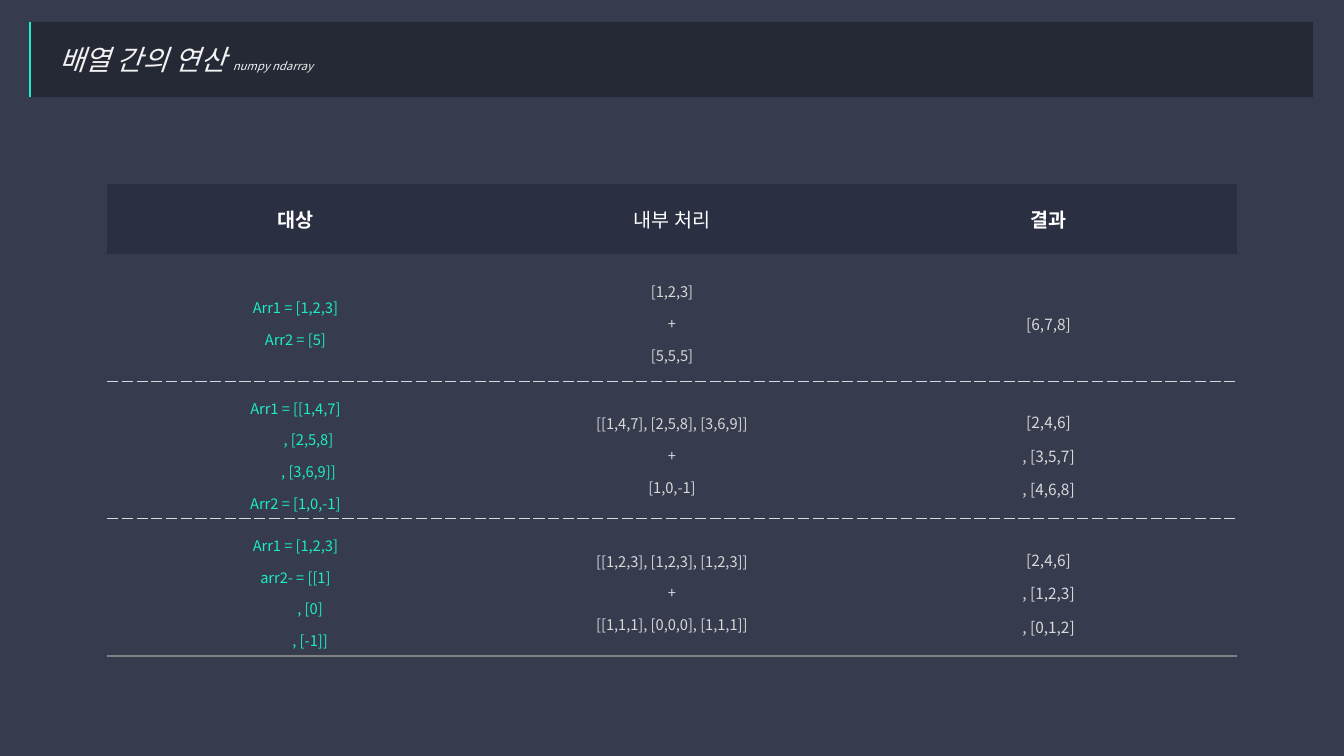
from lxml import etree
from pptx import Presentation
from pptx import util as u
from pptx.dml.color import RGBColor
from pptx.enum import shapes, text
from pptx.oxml.ns import qn

FONT = "Noto Sans CJK KR"
TEAL, GREY, WHITE = "1BEDC6", "D9D9D9", "FFFFFF"
NO_GRID = "{2D5ABB26-0587-4C30-8999-92F81FD0307C}"
DASHED, SOLID = (GREY, 0.5, "sysDash"), ("808080", 1, "solid")

HEADERS = [("대상", True), ("내부 처리", False), ("결과", True)]
# Each row: operands, inner processing, result; a pair is (line, indent in cm)
ROWS = [
    (["Arr1 = [1,2,3]", "Arr2 = [5]"],
     ["[1,2,3]", "+", "[5,5,5]"],
     ["[6,7,8]"]),
    (["Arr1 = [[1,4,7]", (", [2,5,8]", 0.66), (", [3,6,9]]", 0.66), "Arr2 = [1,0,-1]"],
     ["[[1,4,7], [2,5,8], [3,6,9]]", "+", "[1,0,-1]"],
     ["[2,4,6]", ", [3,5,7]", ", [4,6,8]"]),
    (["Arr1 = [1,2,3]", "arr2- = [[1]", (", [0]", 0.74), (", [-1]]", 0.74)],
     ["[[1,2,3], [1,2,3], [1,2,3]]", "+", "[[1,1,1], [0,0,0], [1,1,1]]"],
     ["[2,4,6]", ", [1,2,3]", ", [0,1,2]"]),
]
COLUMN_STYLES = [(10.5, TEAL), (10.5, GREY), (11, GREY)]


def rgb(value):
    return RGBColor.from_string(value)


def add_run(p, words, size, color, bold=False, italic=False):
    r = p.add_run()
    r.text = words
    r.font.size, r.font.name = u.Pt(size), FONT
    r.font.bold, r.font.italic = bold, italic
    r.font.color.rgb = rgb(color)
    ea = etree.SubElement(r.font._element, qn("a:ea"))
    ea.set("typeface", FONT)


def indent(p, cm):
    p._p.get_or_add_pPr().set("marL", str(int(u.Cm(cm))))


def set_border(cell, tag, border):
    color, width, dash = border
    tcPr = cell._tc.get_or_add_tcPr()
    ln = etree.Element(qn(tag), w=str(int(u.Pt(width))))
    fill = etree.SubElement(ln, qn("a:solidFill"))
    etree.SubElement(fill, qn("a:srgbClr"), val=color)
    etree.SubElement(ln, qn("a:prstDash"), val=dash)
    tcPr.insert(0, ln)


def title_bar(s, left, top, width, height):
    # Translucent band
    sp = s.shapes.add_shape(shapes.MSO_SHAPE.RECTANGLE, u.Cm(left), u.Cm(top),
                            u.Cm(width), u.Cm(height))
    sp.shadow.inherit = False
    sp.fill.solid()
    sp.fill.fore_color.rgb = rgb("000000")
    color = sp._element.spPr.find(".//" + qn("a:srgbClr"))
    etree.SubElement(color, qn("a:alpha"), val="30000")
    sp.line.fill.background()

    # Title and subtitle
    tf = sp.text_frame
    tf.word_wrap = True
    tf.vertical_anchor = text.MSO_ANCHOR.MIDDLE
    p = tf.paragraphs[0]
    p.alignment = text.PP_ALIGN.LEFT
    indent(p, 0.48)
    add_run(p, "배열 간의 연산 ", 20, "F2F2F2", italic=True)
    add_run(p, "numpy ndarray", 8, "F2F2F2", italic=True)

    # Accent line on the left edge
    line = s.shapes.add_connector(shapes.MSO_CONNECTOR.STRAIGHT, u.Cm(left),
                                  u.Cm(top + height), u.Cm(left), u.Cm(top))
    line.line.color.rgb = rgb(TEAL)
    line.line.width = u.Pt(1)
    etree.SubElement(line._element.spPr, qn("a:effectLst"))


def operations_table(s, left, top, width, header_height, row_height):
    height = header_height + row_height * len(ROWS)
    frame = s.shapes.add_table(len(ROWS) + 1, len(HEADERS), u.Cm(left), u.Cm(top),
                               u.Cm(width), u.Cm(height))
    table = frame.table
    table.first_row = table.horz_banding = False
    table._tbl.tblPr.find(qn("a:tableStyleId")).text = NO_GRID
    for column in table.columns:
        column.width = u.Cm(width / len(HEADERS))
    for i, row in enumerate(table.rows):
        row.height = u.Cm(row_height if i else header_height)
    for cell in table.iter_cells():
        cell.vertical_anchor = text.MSO_ANCHOR.MIDDLE

    # Header row
    for j, (words, bold) in enumerate(HEADERS):
        cell = table.cell(0, j)
        cell.fill.solid()
        cell.fill.fore_color.rgb = rgb("2A2F42")
        p = cell.text_frame.paragraphs[0]
        p.alignment = text.PP_ALIGN.CENTER
        add_run(p, words, 14, WHITE, bold=bold)

    # Body rows
    for i, row in enumerate(ROWS, 1):
        for j, (lines, (size, color)) in enumerate(zip(row, COLUMN_STYLES)):
            cell = table.cell(i, j)
            cell.fill.background()
            set_border(cell, "a:lnB", SOLID if i == len(ROWS) else DASHED)
            if i > 1:
                set_border(cell, "a:lnT", DASHED)
            tf = cell.text_frame
            for n, line in enumerate(lines):
                p = tf.add_paragraph() if n else tf.paragraphs[0]
                p.alignment = text.PP_ALIGN.CENTER
                p.line_spacing = 1.5
                words, shift = line if isinstance(line, tuple) else (line, 0)
                if shift:
                    indent(p, shift)
                add_run(p, words, size, color)


def main():
    prs = Presentation()
    prs.slide_width, prs.slide_height = u.Cm(33.87), u.Cm(19.05)
    s = prs.slides.add_slide(prs.slide_layouts[6])
    s.background.fill.solid()
    s.background.fill.fore_color.rgb = rgb("363B4E")
    title_bar(s, 0.76, 0.55, 32.33, 1.9)
    operations_table(s, 2.7, 4.63, 28.47, 1.78, 3.2)
    prs.save("out.pptx")


if __name__ == "__main__":
    main()
